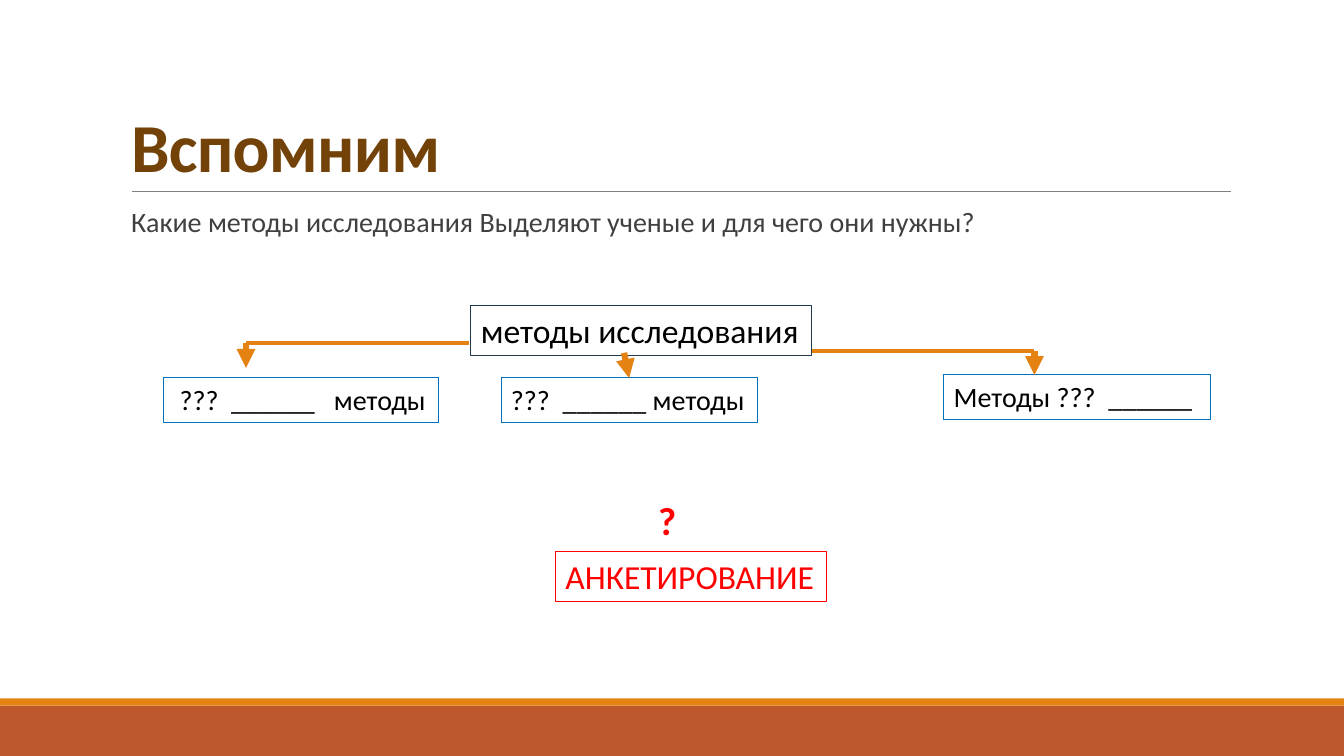
from dataclasses import dataclass

from lxml.etree import SubElement
from pptx import Presentation
from pptx.dml.color import RGBColor
from pptx.enum.shapes import MSO_CONNECTOR as Conn, MSO_SHAPE as Kind
from pptx.enum.text import MSO_ANCHOR as Anchor, PP_ALIGN as Align
from pptx.oxml.ns import qn
from pptx.util import Inches, Pt

ORANGE, RUST, BLUE, RED, BLACK = "E48312", "BD582C", "0070C0", "FF0000", "000000"


@dataclass
class Box:
    text: str
    left: float
    top: float
    width: float
    height: float
    edge: str
    size: int = 20
    color: str = BLACK


@dataclass
class Line:
    x1: float
    y1: float
    x2: float
    y2: float
    color: str = ORANGE
    weight: float = 3
    arrow: bool = False


def rgb(code: str) -> RGBColor:
    return RGBColor.from_string(code)


def place(shape, left: float, top: float, width: float, height: float) -> None:
    shape.left, shape.top = Inches(left), Inches(top)
    shape.width, shape.height = Inches(width), Inches(height)


def write(shape, text: str, size: float, color: str, bold: bool = False,
          anchor=Anchor.TOP, inset: float = 0.1, space: float = 1, track: int = 0) -> None:
    frame = shape.text_frame
    frame.word_wrap = True
    frame.vertical_anchor = anchor
    frame.margin_left, frame.margin_right = Inches(inset), 0
    frame.margin_top = frame.margin_bottom = Inches(0.05)
    para = frame.paragraphs[0]
    para.alignment, para.line_spacing = Align.LEFT, space
    run = para.add_run()
    run.text = text
    font = run.font
    font.name, font.size, font.bold = "Calibri", Pt(size), bold
    font.color.rgb = rgb(color)
    if track:
        font._element.set("spc", str(track))


def add_band(slide, top: float, height: float, color: str) -> None:
    band = slide.shapes.add_shape(
        Kind.RECTANGLE, 0, Inches(top), Inches(13.33), Inches(height))
    band.shadow.inherit = False
    band.fill.solid()
    band.fill.fore_color.rgb = rgb(color)
    band.line.fill.background()


def add_box(slide, box: Box):
    shape = slide.shapes.add_shape(Kind.RECTANGLE, 0, 0, 0, 0)
    place(shape, box.left, box.top, box.width, box.height)
    shape.shadow.inherit = False
    shape.fill.background()
    shape.line.color.rgb = rgb(box.edge)
    shape.line.width = Pt(0.75)
    write(shape, box.text, box.size, box.color)
    return shape


def add_line(slide, line: Line):
    ends = map(Inches, (line.x1, line.y1, line.x2, line.y2))
    shape = slide.shapes.add_connector(Conn.STRAIGHT, *ends)
    shape.line.color.rgb = rgb(line.color)
    shape.line.width = Pt(line.weight)
    if line.arrow:
        SubElement(shape.line._get_or_add_ln(), qn("a:tailEnd"), type="triangle")
    SubElement(shape._element.spPr, qn("a:effectLst"))
    return shape


def add_note(slide, left: float, top: float, width: float, height: float, text: str, **style) -> None:
    note = slide.shapes.add_textbox(0, 0, 0, 0)
    place(note, left, top, width, height)
    write(note, text, **style)


def main() -> None:
    deck = Presentation()
    deck.slide_width, deck.slide_height = Inches(13.33), Inches(7.5)
    slide = deck.slides.add_slide(deck.slide_layouts[5])

    add_band(slide, 7, 0.5, RUST)
    add_band(slide, 6.93, 0.07, ORANGE)
    add_line(slide, Line(1.31, 1.9, 12.21, 1.9, "808080", 0.5))

    title = slide.shapes.title
    place(title, 1.2, 0.31, 11, 1.59)
    write(title, "Вспомним", 49, "724209", bold=True,
          anchor=Anchor.BOTTOM, space=0.85, track=-50)
    add_note(slide, 1.3, 2.02, 10.9, 0.7,
             "Какие методы исследования Выделяют ученые и для чего они нужны?",
             size=20, color="404040", inset=0, space=0.9)

    boxes = [
        Box("методы исследования", 4.67, 3.03, 3.38, 0.5, "203A4E", 24),
        Box(" ???  ______   методы", 1.62, 3.75, 2.73, 0.44, BLUE),
        Box("Методы ???  ______", 9.36, 3.72, 2.65, 0.44, BLUE),
        Box("АНКЕТИРОВАНИЕ", 5.51, 5.47, 2.69, 0.5, RED, 24, RED),
    ]
    for box in boxes:
        add_box(slide, box)
    middle = add_box(slide, Box("???  ______ методы", 4.97, 3.75, 2.54, 0.44, BLUE))

    lines = [
        Line(4.65, 3.4, 2.44, 3.4),
        Line(10.26, 3.48, 8.05, 3.48),
        Line(2.44, 3.4, 2.44, 3.65, weight=4.5, arrow=True),
        Line(10.26, 3.48, 10.26, 3.72, weight=4.5, arrow=True),
    ]
    for line in lines:
        add_line(slide, line)
    link = add_line(slide, Line(6.19, 3.5, 6.24, 3.75, weight=4.5, arrow=True))
    link.end_connect(middle, 0)

    add_note(slide, 6.43, 4.87, 0.47, 0.57, "?", size=28, color=RED, bold=True)
    deck.save("out.pptx")


if __name__ == "__main__":
    main()
